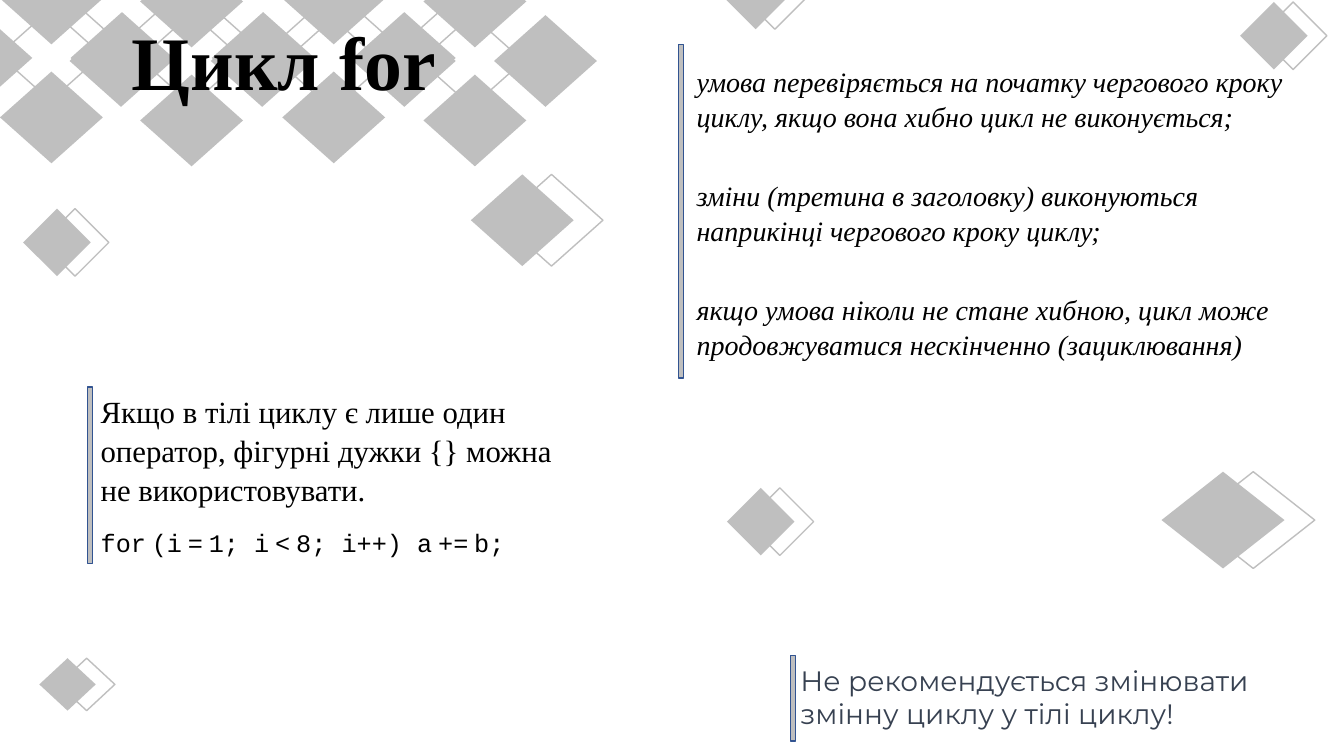
import pptx
import pptx.util
import pptx.dml.color
import pptx.enum.shapes
import pptx.enum.text

Inches = pptx.util.Inches
Pt = pptx.util.Pt
GREY, NAVY, BLACK, SLATE = "BFBFBF", "325491", "000000", "374151"
SERIF, MONO, SANS = "Times New Roman", "Courier New", "Montserrat"

CLUSTERS = [(0, 0.12), (1.39, 0.15), (2.8, 0.12), (4.2, 0.15)]
OUTLINES = [(1.39, 0.13), (2.79, 0.18), (4.17, 0.15),
            (0.69, -0.47), (2.11, -0.38), (3.45, -0.44)]
# left, top, width, height, shift of the outlined diamond
PAIRS = [
    (4.67, 1.73, 1.02, 0.91, 0.29),
    (0.23, 2.07, 0.67, 0.67, 0.18),
    (7.16, -0.38, 0.67, 0.67, 0.19),
    (11.52, 4.68, 1.22, 0.96, 0.3),
    (12.3, 0.02, 0.67, 0.67, 0.19),
    (0.39, 6.53, 0.56, 0.52, 0.19),
    (7.21, 4.84, 0.67, 0.67, 0.19),
]
BARS = [(6.73, 0.44, 3.31), (0.87, 3.84, 1.75), (7.84, 6.5, 0.85)]
LOOP_RULES = [
    "умова перевіряється на початку чергового кроку циклу, якщо вона хибно цикл не виконується;",
    "зміни (третина в заголовку) виконуються наприкінці чергового кроку циклу;",
    "якщо умова ніколи не стане хибною, цикл може продовжуватися нескінченно (зациклювання)",
]
# spaces between the pieces are set narrow
CODE_PIECES = ["for", "(i", "=", "1; i", "<", "8; i++) a", "+=", "b;"]


def colour(code):
    return pptx.dml.color.RGBColor.from_string(code)


def add_span(para, text, size=20, font=SERIF, ink=BLACK, bold=False, italic=False):
    span = para.add_run()
    span.text = text
    span.font.size = Pt(size)
    span.font.name = font
    span.font.bold = bold
    span.font.italic = italic
    span.font.color.rgb = colour(ink)


class SlideBuilder:
    def __init__(self, deck):
        self.slide = deck.slides.add_slide(deck.slide_layouts[5])
        self.shapes = self.slide.shapes

    def shape(self, kind, left, top, width, height, fill=None, line=None):
        shape = self.shapes.add_shape(kind, Inches(left), Inches(top),
                                      Inches(width), Inches(height))
        shape.shadow.inherit = False
        if fill:
            shape.fill.solid()
            shape.fill.fore_color.rgb = colour(fill)
        else:
            shape.fill.background()
        if line:
            shape.line.color.rgb = colour(line)
            shape.line.width = Pt(1)
        else:
            shape.line.fill.background()

    def diamond(self, left, top, width=1.02, height=0.91, **paint):
        self.shape(pptx.enum.shapes.MSO_SHAPE.DIAMOND, left, top, width, height, **paint)

    def bar(self, left, top, height):
        self.shape(pptx.enum.shapes.MSO_SHAPE.RECTANGLE, left, top, 0.05, height,
                   fill=GREY, line=NAVY)

    def title(self, text, left, top, width, height):
        title = self.shapes.title
        title.left, title.top = Inches(left), Inches(top)
        title.width, title.height = Inches(width), Inches(height)
        title.text_frame.vertical_anchor = pptx.enum.text.MSO_ANCHOR.TOP
        para = title.text_frame.paragraphs[0]
        para.alignment = pptx.enum.text.PP_ALIGN.CENTER
        para.line_spacing = 1.05
        add_span(para, text, size=54, bold=True)
        self.shapes.element.append(title.element)  # bring above the diamonds

    def text(self, paragraphs, left, top, width, height, gap=0, spacing=1.0, **style):
        """Add a text box; each paragraph is a list of (text, overrides) pieces."""
        box = self.shapes.add_textbox(Inches(left), Inches(top),
                                      Inches(width), Inches(height))
        frame = box.text_frame
        frame.word_wrap = True
        for index, pieces in enumerate(paragraphs):
            para = frame.add_paragraph() if index else frame.paragraphs[0]
            para.line_spacing = spacing
            if index:
                para.space_before = Pt(gap)
            for text, overrides in pieces:
                add_span(para, text, **{**style, **overrides})


def main():
    deck = pptx.Presentation()
    deck.slide_width, deck.slide_height = Inches(13.33), Inches(7.5)
    page = SlideBuilder(deck)

    page.text([[("Якщо в тілі циклу є лише один оператор, фігурні дужки {} можна "
                 "не використовувати.", {})]],
              0.9, 3.83, 4.7, 1.21, spacing=1.05, size=22)
    code = []
    for piece in CODE_PIECES:
        if code:
            code.append((" ", {"size": 7}))
        code.append((piece, {}))
    page.text([code], 0.9, 5.18, 4.63, 0.4, size=18, font=MONO)

    page.diamond(-0.01, 0.09, line=GREY)
    for left, top in CLUSTERS:
        for across, down in [(-0.7, 0), (0, 0.59), (0, -0.59), (0.7, 0)]:
            page.diamond(left + across, top + down, fill=GREY)
    for left, top in OUTLINES:
        page.diamond(left, top, line=GREY)
    for left, top, width, height, shift in PAIRS:
        page.diamond(left + shift, top, width, height, line=GREY)
        page.diamond(left, top, width, height, fill=GREY)

    page.title("Цикл for", 0.04, 0.05, 5.55, 1.01)
    page.text([[(rule, {})] for rule in LOOP_RULES],
              6.81, 0.57, 6.48, 3.47, gap=31, spacing=1.05, italic=True)
    page.text([[("Не рекомендується змінювати змінну циклу у тілі циклу!", {})]],
              7.84, 6.53, 5.48, 0.77, font=SANS, ink=SLATE)
    for left, top, height in BARS:
        page.bar(left, top, height)

    deck.save("out.pptx")


if __name__ == "__main__":
    main()
